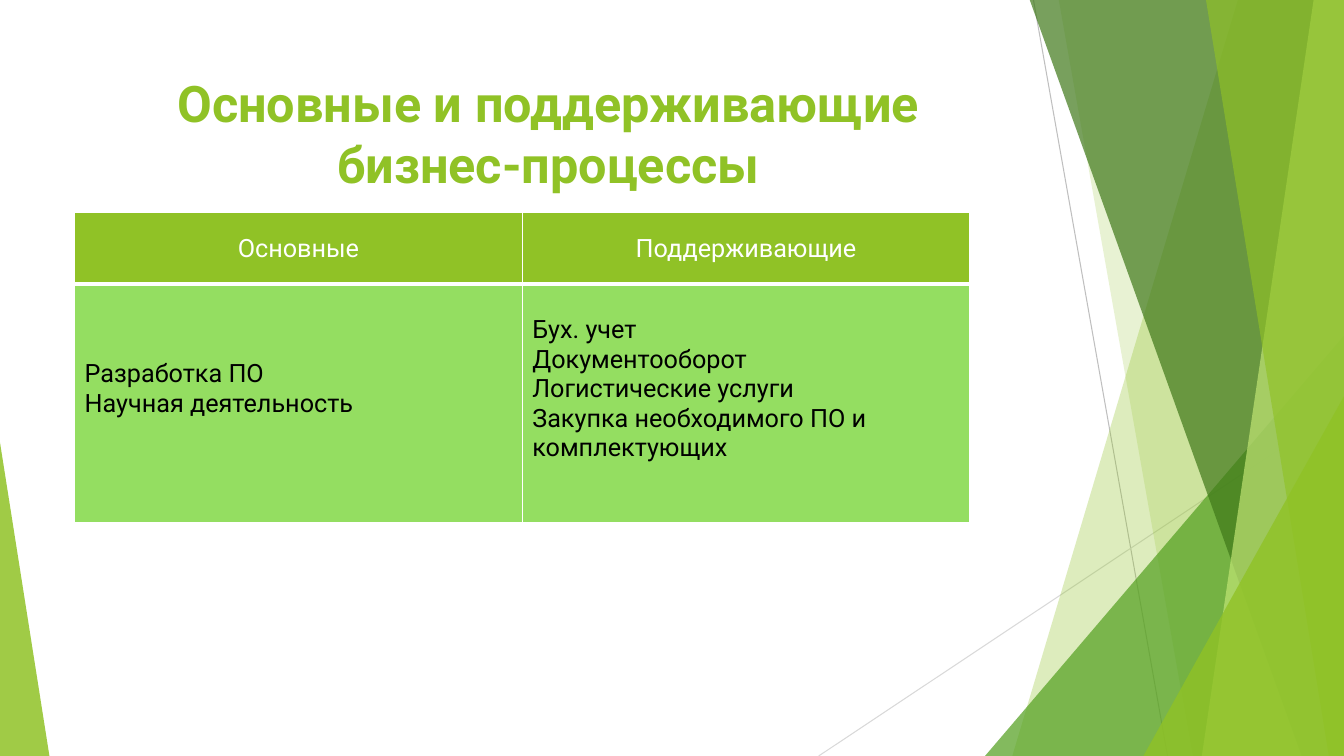
from pptx import Presentation
from pptx.dml.color import RGBColor
from pptx.enum.shapes import MSO_CONNECTOR, MSO_SHAPE
from pptx.enum.text import MSO_ANCHOR, PP_ALIGN
from pptx.oxml.ns import qn
from pptx.util import Inches, Pt
from lxml.etree import SubElement

COLORS = {
    "lime": "90C226", "green": "54A021", "dark": "3F7819", "pale": "C0E474",
    "cell": "94DE61", "white": "FFFFFF", "black": "000000",
    "gray": "BFBFBF", "light": "D9D9D9",
}
TOP, RIGHT, BASE = -0.01, 13.33, 7.5


class Deck:
    font = "Roboto"

    def __init__(self):
        self.prs = Presentation()
        self.prs.slide_width = Inches(RIGHT)
        self.prs.slide_height = Inches(BASE)
        self.slide = self.prs.slides.add_slide(self.prs.slide_layouts[6])
        self.shapes = self.slide.shapes

    def color(self, name):
        return RGBColor.from_string(COLORS[name])

    def paint(self, shape, color, alpha):
        shape.shadow.inherit = False
        shape.line.fill.background()
        shape.fill.solid()
        shape.fill.fore_color.rgb = self.color(color)
        tone = shape._element.spPr.find(qn("a:solidFill"))[0]
        SubElement(tone, qn("a:alpha"), val=str(alpha * 1000))

    def line(self, start, end, color):
        line = self.shapes.add_connector(
            MSO_CONNECTOR.STRAIGHT, *map(Inches, start + end))
        line.line.color.rgb = self.color(color)
        line.line.width = Pt(0.75)
        SubElement(line._element.spPr, qn("a:effectLst"))

    def band(self, top, base, color, alpha):
        points = [(top, TOP), (RIGHT, TOP), (RIGHT, BASE), (base, BASE)]
        points = [(Inches(x), Inches(y)) for x, y in points]
        build = self.shapes.build_freeform(*points[0])
        build.add_line_segments(points[1:], close=True)
        self.paint(build.convert_to_shape(), color, alpha)

    def wedge(self, left, top, width, apex, color, alpha):
        shape = self.shapes.add_shape(
            MSO_SHAPE.ISOSCELES_TRIANGLE, Inches(left), Inches(top),
            Inches(width), Inches(BASE - top))
        shape.adjustments[0] = apex
        self.paint(shape, color, alpha)

    def text(self, frame, lines, size, color, align, bold=False):
        frame.word_wrap = True
        for i, words in enumerate(lines):
            para = frame.add_paragraph() if i else frame.paragraphs[0]
            para.alignment = align
            run = para.add_run()
            run.text = words
            run.font.name = self.font
            run.font.size = Pt(size)
            run.font.bold = bold
            run.font.color.rgb = self.color(color)

    def title(self, words, left, top, width, height):
        box = self.shapes.add_textbox(*map(Inches, (left, top, width, height)))
        box.text_frame.vertical_anchor = MSO_ANCHOR.TOP
        self.text(box.text_frame, [words], 36, "lime", PP_ALIGN.CENTER, True)

    def border(self, cell, side, width):
        edge = SubElement(cell._tc.get_or_add_tcPr(), qn("a:" + side),
                          w=str(Pt(width)))
        fill = SubElement(edge, qn("a:solidFill"))
        SubElement(fill, qn("a:srgbClr"), val=COLORS["white"])

    def table(self, rows, left, top, width, heights):
        grid = self.shapes.add_table(
            len(rows), len(rows[0]), Inches(left), Inches(top),
            Inches(width), Inches(sum(heights))).table
        for r, row in enumerate(rows):
            grid.rows[r].height = Inches(heights[r])
            for c, lines in enumerate(row):
                cell = grid.cell(r, c)
                head = r == 0
                for side in ("lnL", "lnR", "lnT", "lnB"):
                    thick = side == ("lnB" if head else "lnT")
                    self.border(cell, side, 3 if thick else 1)
                cell.fill.solid()
                cell.fill.fore_color.rgb = self.color("lime" if head else "cell")
                cell.vertical_anchor = MSO_ANCHOR.MIDDLE
                if not head:
                    cell.margin_bottom = Inches(0.34)
                self.text(cell.text_frame, lines, 18,
                          "white" if head else "black",
                          PP_ALIGN.CENTER if head else PP_ALIGN.LEFT)


def main():
    deck = Deck()
    deck.line((10.25, 0), (11.58, BASE), "gray")
    deck.line((RIGHT, 4.03), (8.12, BASE), "light")
    deck.band(12.28, 10.04, "lime", 30)
    deck.band(10.5, 11.83, "lime", 20)
    deck.wedge(9.77, 3.33, 3.56, 1, "green", 72)
    deck.band(10.21, 12.91, "dark", 70)
    deck.band(13.03, 11.92, "pale", 70)
    deck.band(11.96, 13.18, "lime", 65)
    deck.wedge(11.34, 3.93, 1.99, 1, "lime", 80)
    deck.wedge(0, 4.39, 0.49, 0, "lime", 85)
    deck.title("Основные и поддерживающие бизнес-процессы",
               0.74, 0.67, 9.4, 1.44)
    deck.table([
        [["Основные"], ["Поддерживающие"]],
        [["Разработка ПО", "Научная деятельность"],
         ["Бух. учет", "Документооборот", "Логистические услуги",
          "Закупка необходимого ПО и комплектующих"]],
    ], 0.74, 2.11, 8.88, [0.71, 2.37])
    deck.prs.save("out.pptx")


if __name__ == "__main__":
    main()
